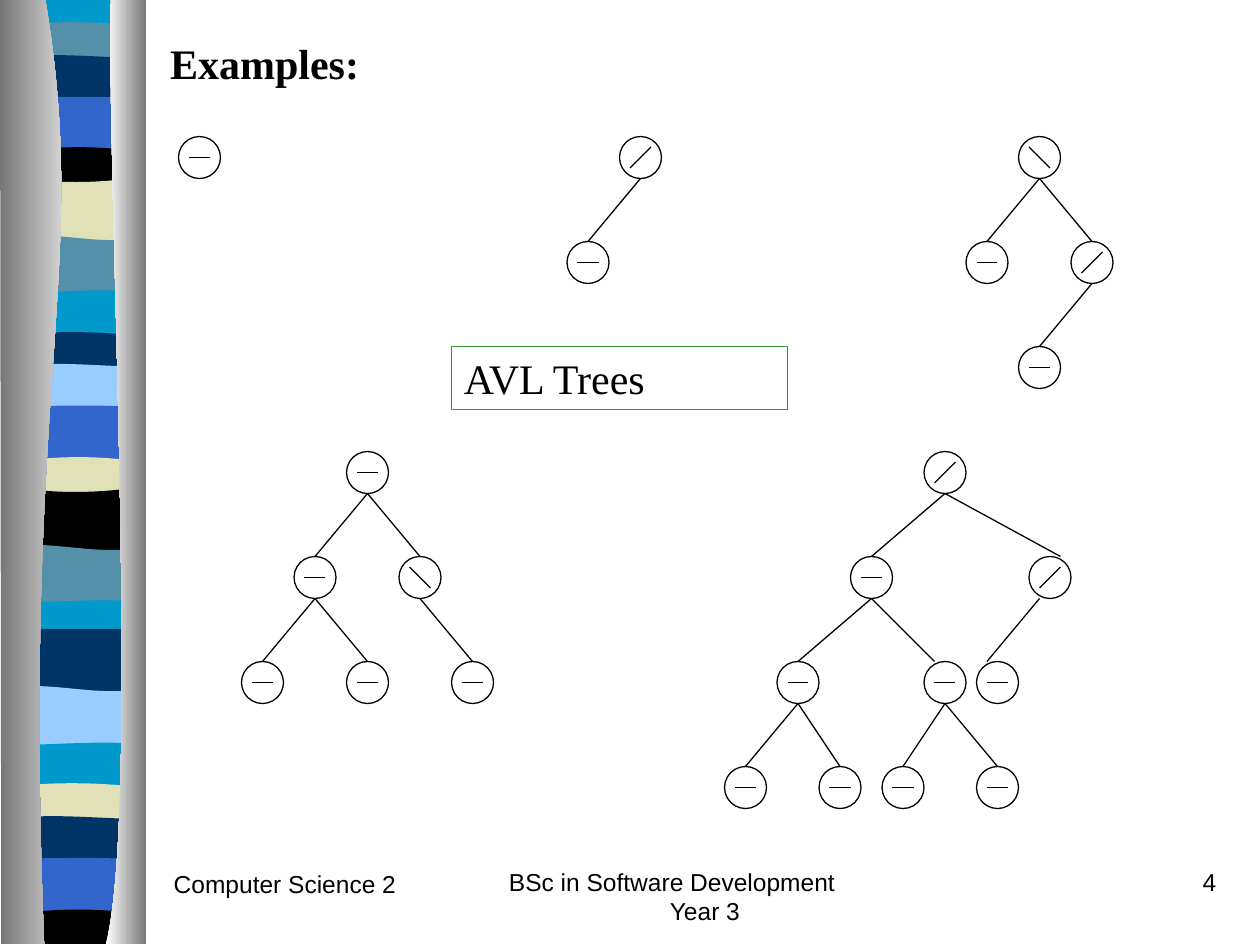
from lxml.etree import SubElement
from pptx import Presentation
from pptx.dml.color import RGBColor
from pptx.enum.shapes import MSO_CONNECTOR, MSO_SHAPE
from pptx.enum.text import MSO_ANCHOR, PP_ALIGN
from pptx.oxml.ns import qn
from pptx.util import Inches, Pt

COLORS = {
    "cyan": "0099CC", "teal": "5490A8", "navy": "003366", "blue": "3366CC",
    "black": "000000", "sand": "E1E1B7", "sky": "99CCFF",
    "gray": "767676", "white": "FFFFFF", "green": "339933",
}
RGB = {name: RGBColor.from_string(code) for name, code in COLORS.items()}

deck = Presentation()
deck.slide_width, deck.slide_height = Inches(10), Inches(7.5)
slide = deck.slides.add_slide(deck.slide_layouts[5])
shapes = slide.shapes


def outline(points):
    """Closed freeform: points 1 to 4 form a Bezier curve, the rest lines."""
    pen = [(Inches(x), Inches(y)) for x, y in points]
    build = shapes.build_freeform(*pen[0], scale=1.0)
    build.add_line_segments(pen[1:], close=True)
    shape = build.convert_to_shape()
    steps = list(shape._element.iter(qn("a:lnTo")))[:3]
    route = steps[0].getparent()
    bend = SubElement(route, qn("a:cubicBezTo"))
    route.insert(1, bend)
    for step in steps:
        bend.append(step[0])
        route.remove(step)
    shape.shadow.inherit = False
    shape.line.fill.background()
    shape.fill.solid()
    return shape


# Ribbon: each band has a wavy top edge and runs under the next band
EDGES = {
    "flat": (0, 0, 0, 0), "lift": (0, -.05, -.04, 0),
    "slant": (0, -.05, 0, 0), "ripple": (0, .01, -.02, .02),
    "arch": (0, -.05, -.06, 0), "sag": (0, .06, .06, 0),
    "wave": (0, -.06, .08, 0), "roll": (0, .01, -.04, 0),
}
bands = [
    (0, "cyan", "flat"), (.21, "teal", "lift"), (.46, "navy", "slant"),
    (.77, "blue", "ripple"), (1.21, "black", "arch"), (1.4, "sand", "sag"),
    (1.88, "teal", "wave"), (2.32, "cyan", "roll"), (2.67, "navy", "lift"),
    (2.91, "sky", "slant"), (3.22, "blue", "ripple"), (3.67, "sand", "arch"),
    (3.86, "black", "sag"), (4.34, "teal", "wave"), (4.78, "cyan", "roll"),
    (4.99, "navy", "flat"), (5.46, "sky", "wave"), (5.91, "cyan", "roll"),
    (6.25, "sand", "lift"), (6.5, "navy", "slant"), (6.81, "blue", "ripple"),
    (7.26, "black", "arch"),
]
left, right = .06, 1.14
ends = [top + .08 for top, *_ in bands[1:]] + [7.49]
for (top, color, edge), end in zip(bands, ends):
    xs = (left, .42, .78, right)
    rim = [(x, top + dy) for x, dy in zip(xs, EDGES[edge])]
    band = outline(rim + [(right, end), (left, end)])
    band.fill.fore_color.rgb = RGB[color]

# Silver columns on both sides of the ribbon
columns = [
    ([(.36, 0), (.72, 2.16), (.17, 2.96), (.35, 7.49), (.01, 7.49), (0, 0)],
     "gray", "white"),
    ([(.88, 0), (.84, 1.25), (1.12, 6.46), (.84, 7.49), (1.16, 7.49),
      (1.16, 0)], "white", "gray"),
]
for points, start, end in columns:
    fill = outline(points).fill
    fill.gradient()
    fill.gradient_angle = 0
    for stop, color in zip(fill.gradient_stops, (start, end)):
        stop.color.rgb = RGB[color]

# Trees on a grid of twelfths of an inch:
# column, row, balance mark, parent column, shifts of the edge's two ends
CELL, RADIUS, LEVEL = 1 / 12, 2, 10
MARKS = {"-": (-1, 0, 1, 0), "/": (1, -1, -1, 1), "\\": (-1, -1, 1, 1)}
trees = [
    [(35, 45, "-"), (30, 55, "-", 35), (40, 55, "\\", 35),
     (25, 65, "-", 30), (35, 65, "-", 30), (45, 65, "-", 40)],
    [(90, 45, "/"), (83, 55, "-", 90), (100, 55, "/", 90, 0, 1),
     (76, 65, "-", 83), (90, 65, "-", 83, 0, -1),
     (95, 65, "-", 100, -1, -1), (71, 75, "-", 76), (80, 75, "-", 76),
     (86, 75, "-", 90), (95, 75, "-", 90)],
    [(19, 15, "-")],
    [(61, 15, "/"), (56, 25, "-", 61)],
    [(99, 15, "\\"), (94, 25, "-", 99), (104, 25, "/", 99),
     (99, 35, "-", 104)],
]
for tree in trees:
    group = shapes.add_group_shape().shapes
    lines = []
    for x, y, mark, *link in tree:
        box = [Inches(n * CELL) for n in
               (x - RADIUS, y - RADIUS, 2 * RADIUS, 2 * RADIUS)]
        node = group.add_shape(MSO_SHAPE.OVAL, *box)
        node.shadow.inherit = False
        node.fill.background()
        node.line.color.rgb = RGB["black"]
        node.line.width = Pt(.75)
        x1, y1, x2, y2 = MARKS[mark]
        lines.append((x + x1, y + y1, x + x2, y + y2))
        if link:
            root, tail, head = (link + [0, 0])[:3]
            lines.append((root + tail, y - LEVEL + RADIUS,
                          x + head, y - RADIUS))
    for ends in lines:
        line = group.add_connector(MSO_CONNECTOR.STRAIGHT,
                                   *[Inches(n * CELL) for n in ends])
        line.line.color.rgb = RGB["black"]
        line.line.width = Pt(.75)
        SubElement(line._element.spPr, qn("a:effectLst"))

# Title, label and footer
title = shapes.title
title.left, title.top = Inches(1.25), Inches(.25)
title.width, title.height = Inches(6.67), Inches(.5)
label = shapes.add_shape(MSO_SHAPE.RECTANGLE, Inches(43 * CELL),
                         Inches(2.75), Inches(32 * CELL), Inches(.5))
label.shadow.inherit = False
label.fill.background()
label.line.color.rgb = RGB["green"]
label.line.width = Pt(.75)
course, number, subject = [
    shapes.add_textbox(Inches(x), Inches(y), Inches(width), Inches(.5))
    for x, y, width in ((3.92, 6.83, 3.17), (7.67, 6.83, 2.08),
                        (1.28, 6.85, 2.08))]

SERIF, SANS = "Times New Roman", "Arial"
texts = [
    (title, ["Examples:"], SERIF, 24, True, PP_ALIGN.LEFT),
    (label, ["AVL Trees"], SERIF, 24, False, PP_ALIGN.LEFT),
    (course, ["BSc in Software Development", "Year 3"], SANS, 14, False,
     PP_ALIGN.CENTER),
    (number, ["4"], SANS, 14, False, PP_ALIGN.RIGHT),
    (subject, ["Computer Science 2"], SANS, 14, False, PP_ALIGN.LEFT),
]
for shape, rows, face, size, bold, align in texts:
    frame = shape.text_frame
    frame.word_wrap = True
    frame.vertical_anchor = MSO_ANCHOR.TOP
    for i, text in enumerate(rows):
        para = frame.add_paragraph() if i else frame.paragraphs[0]
        para.alignment = align
        run = para.add_run()
        run.text = text
        run.font.name, run.font.size, run.font.bold = face, Pt(size), bold
        run.font.color.rgb = RGB["black"]

# The course lines are centred a little left and right of the middle
first, second = course.text_frame.paragraphs
first._p.get_or_add_pPr().set("marR", str(Inches(.34)))
second._p.get_or_add_pPr().set("marL", str(Inches(.52)))

deck.save("out.pptx")
